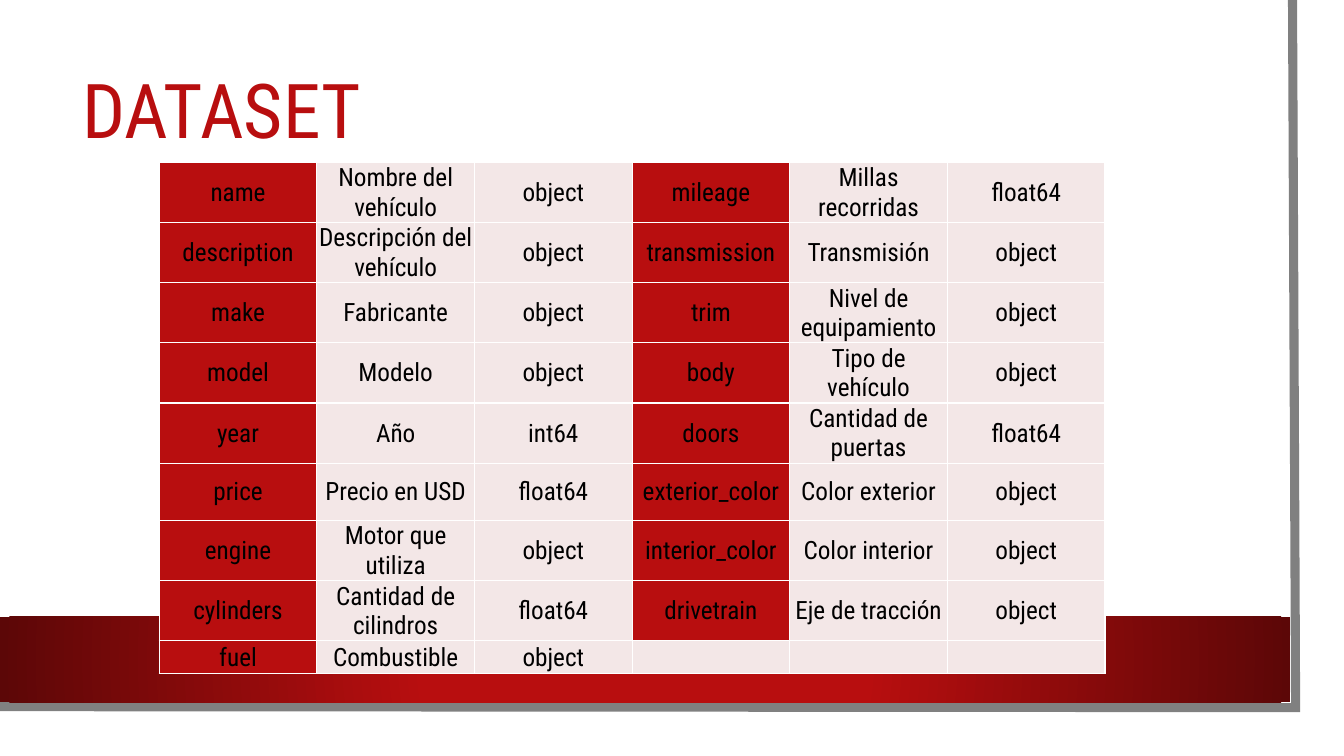
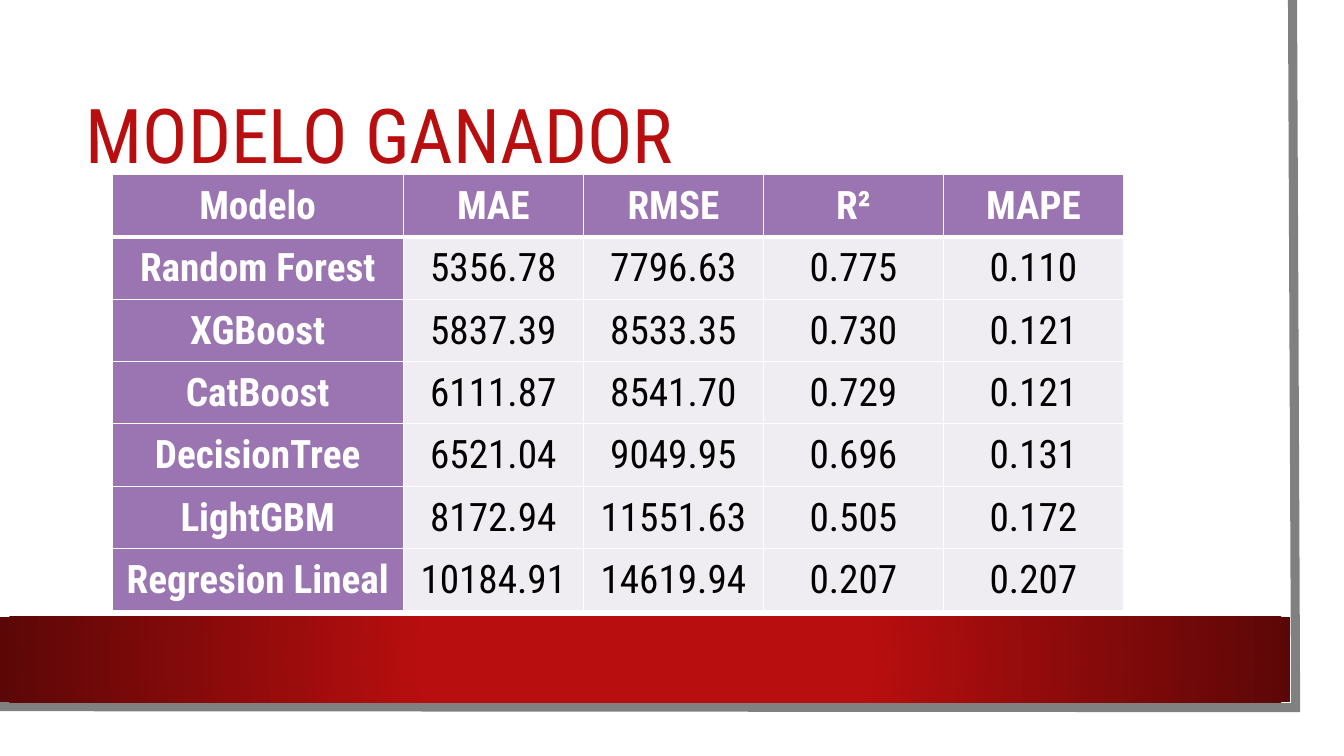
"""Build two slides on a car data set and its best model."""
from dataclasses import dataclass

import lxml.etree
import pptx
import pptx.dml.color
import pptx.enum.shapes
import pptx.enum.text
import pptx.oxml.ns
import pptx.util

WIDE, HIGH, GRID = 13.33, 7.5, 100
FONT = "Roboto Condensed"
HUES = {
    "red": "B80E0F", "dark": "5C0707", "rose": "F3E7E7",
    "plum": "9B75B2", "mist": "EFECF2", "gray": "808080",
    "white": "FFFFFF", "black": "000000",
}
ALIGN = pptx.enum.text.PP_ALIGN
MID = pptx.enum.text.MSO_ANCHOR.MIDDLE
RECT = pptx.enum.shapes.MSO_SHAPE.RECTANGLE


@dataclass(frozen=True)
class Box:
    left: float
    top: float
    wide: float
    high: float


@dataclass(frozen=True)
class Table:
    left: float
    top: float
    cols: list[float]
    rows: list[float]
    data: list[list[str]]
    keys: set[int]
    head: bool
    size: int
    fill: str
    pale: str
    ink: str
    bold: bool


@dataclass(frozen=True)
class Page:
    title: str
    box: Box
    table: Table


PAPER = Box(0, 0, 98.27, 96.93)
BAND = Box(0, 81.6, 96.02, 11.33)
EDGE = [(96.17, 0), (96.4, 93.6), (-0.23, 93.47)]

FIELDS = [
    ["name", "Nombre del vehículo", "object", "mileage", "Millas recorridas", "float64"],
    ["description", "Descripción del vehículo", "object", "transmission", "Transmisión", "object"],
    ["make", "Fabricante", "object", "trim", "Nivel de equipamiento", "object"],
    ["model", "Modelo", "object", "body", "Tipo de vehículo", "object"],
    ["year", "Año", "int64", "doors", "Cantidad de puertas", "float64"],
    ["price", "Precio en USD", "float64", "exterior_color", "Color exterior", "object"],
    ["engine", "Motor que utiliza", "object", "interior_color", "Color interior", "object"],
    ["cylinders", "Cantidad de cilindros", "float64", "drivetrain", "Eje de tracción", "object"],
    ["fuel", "Combustible", "object", "", "", ""],
]
SCORES = [
    ["Modelo", "MAE", "RMSE", "R²", "MAPE"],
    ["Random Forest", "5356.78", "7796.63", "0.775", "0.110"],
    ["XGBoost", "5837.39", "8533.35", "0.730", "0.121"],
    ["CatBoost", "6111.87", "8541.70", "0.729", "0.121"],
    ["DecisionTree", "6521.04", "9049.95", "0.696", "0.131"],
    ["LightGBM", "8172.94", "11551.63", "0.505", "0.172"],
    ["Regresion Lineal", "10184.91", "14619.94", "0.207", "0.207"],
]
PAGES = [
    Page("DATASET", Box(5.4, 6.67, 85.3, 16.8), Table(
        11.85, 21.47, [11.73] * 6, [7.6] * 8 + [4.27], FIELDS,
        {0, 3}, False, 18, "red", "rose", "black", False)),
    Page("MODELO GANADOR", Box(5.63, 10, 85.3, 16.8), Table(
        8.33, 23.07, [21.68] + [13.4] * 4, [8.25] * 7, SCORES,
        {0}, True, 28, "plum", "mist", "white", True)),
]


def hue(name: str) -> pptx.dml.color.RGBColor:
    return pptx.dml.color.RGBColor.from_string(HUES[name])


def across(cols: float) -> int:
    return pptx.util.Inches(WIDE * cols / GRID)


def down(rows: float) -> int:
    return pptx.util.Inches(HIGH * rows / GRID)


def place(box: Box) -> tuple[int, int, int, int]:
    return across(box.left), down(box.top), across(box.wide), down(box.high)


def node(base, tag: str, **attrs: str):
    return lxml.etree.SubElement(base, pptx.oxml.ns.qn(tag), attrs)


def write(para, text: str, size: int, ink: str, bold: bool = False) -> None:
    run = para.add_run()
    run.text = text
    run.font.name = FONT
    run.font.size = pptx.util.Pt(size)
    run.font.bold = bold
    run.font.color.rgb = hue(ink)


def block(slide, box: Box):
    shape = slide.shapes.add_shape(RECT, *place(box))
    shape.shadow.inherit = False
    shape.line.fill.background()
    return shape


def frame(slide) -> None:
    paper = block(slide, PAPER)
    paper.fill.solid()
    paper.fill.fore_color.rgb = hue("white")

    start, *rest = [(across(x), down(y)) for x, y in EDGE]
    path = slide.shapes.build_freeform(*start)
    path.add_line_segments(rest, close=False)
    edge = path.convert_to_shape()
    edge.shadow.inherit = False
    edge.fill.background()
    edge.line.color.rgb = hue("gray")
    edge.line.width = pptx.util.Pt(6.5)
    node(edge.line._get_or_add_ln(), "a:miter", lim="800000")

    band = block(slide, BAND)
    band.fill.gradient()
    for stop, name, spot in zip(band.fill.gradient_stops, ("red", "dark"), (0.34, 1)):
        stop.color.rgb = hue(name)
        stop.position = spot
    grad = band.element.spPr.find(pptx.oxml.ns.qn("a:gradFill"))
    grad.remove(grad.find(pptx.oxml.ns.qn("a:lin")))
    node(node(grad, "a:path", path="circle"), "a:fillToRect",
         l="50000", t="50000", r="50000", b="50000")

    tree = slide.slide_layout.shapes.element
    for spot, shape in enumerate((paper, edge, band)):
        shape.element.xpath(".//p:cNvPr")[0].set("id", str(20 + spot))
        tree.insert(2 + spot, shape.element)


def head(slide, page: Page) -> None:
    title = slide.shapes.title
    title.left, title.top, title.width, title.height = place(page.box)
    text = title.text_frame
    text.auto_size = pptx.enum.text.MSO_AUTO_SIZE.NONE
    text.vertical_anchor = MID
    para = text.paragraphs[0]
    para.alignment = ALIGN.LEFT
    para.line_spacing = 0.9
    write(para, page.title, 54, "red")


def rule(cell, top: float, base: float) -> None:
    props = cell._tc.get_or_add_tcPr()
    for spot, (side, size) in enumerate(zip("LRTB", (1, 1, top, base))):
        line = node(props, f"a:ln{side}", w=str(pptx.util.Pt(size)))
        node(node(line, "a:solidFill"), "a:srgbClr", val=HUES["white"])
        props.insert(spot, line)


def draw(slide, plan: Table) -> None:
    box = Box(plan.left, plan.top, sum(plan.cols), sum(plan.rows))
    table = slide.shapes.add_table(len(plan.rows), len(plan.cols), *place(box)).table
    table.first_row = table.horz_banding = False
    for col, wide in zip(table.columns, plan.cols):
        col.width = across(wide)
    for row, high in zip(table.rows, plan.rows):
        row.height = down(high)
    for y, line in enumerate(plan.data):
        for x, text in enumerate(line):
            cell = table.cell(y, x)
            top = plan.head and y == 0
            key = bool(text) and (top or x in plan.keys)
            cell.fill.solid()
            cell.fill.fore_color.rgb = hue(plan.fill if key else plan.pale)
            rule(cell, 3 if plan.head and y == 1 else 1, 3 if top else 1)
            cell.margin_left = cell.margin_right = cell.margin_top = pptx.util.Inches(0.01)
            cell.margin_bottom = 0
            cell.vertical_anchor = MID
            para = cell.text_frame.paragraphs[0]
            para.alignment = ALIGN.CENTER
            if text:
                write(para, text, plan.size, plan.ink if key else "black", key and plan.bold)


def main() -> None:
    deck = pptx.Presentation()
    deck.slide_width, deck.slide_height = across(GRID), down(GRID)
    only = deck.slide_layouts[5]
    for spot, page in enumerate(PAGES):
        slide = deck.slides.add_slide(only)
        if spot == 0:
            frame(slide)
        head(slide, page)
        draw(slide, page.table)
    deck.save("out.pptx")


if __name__ == "__main__":
    main()
